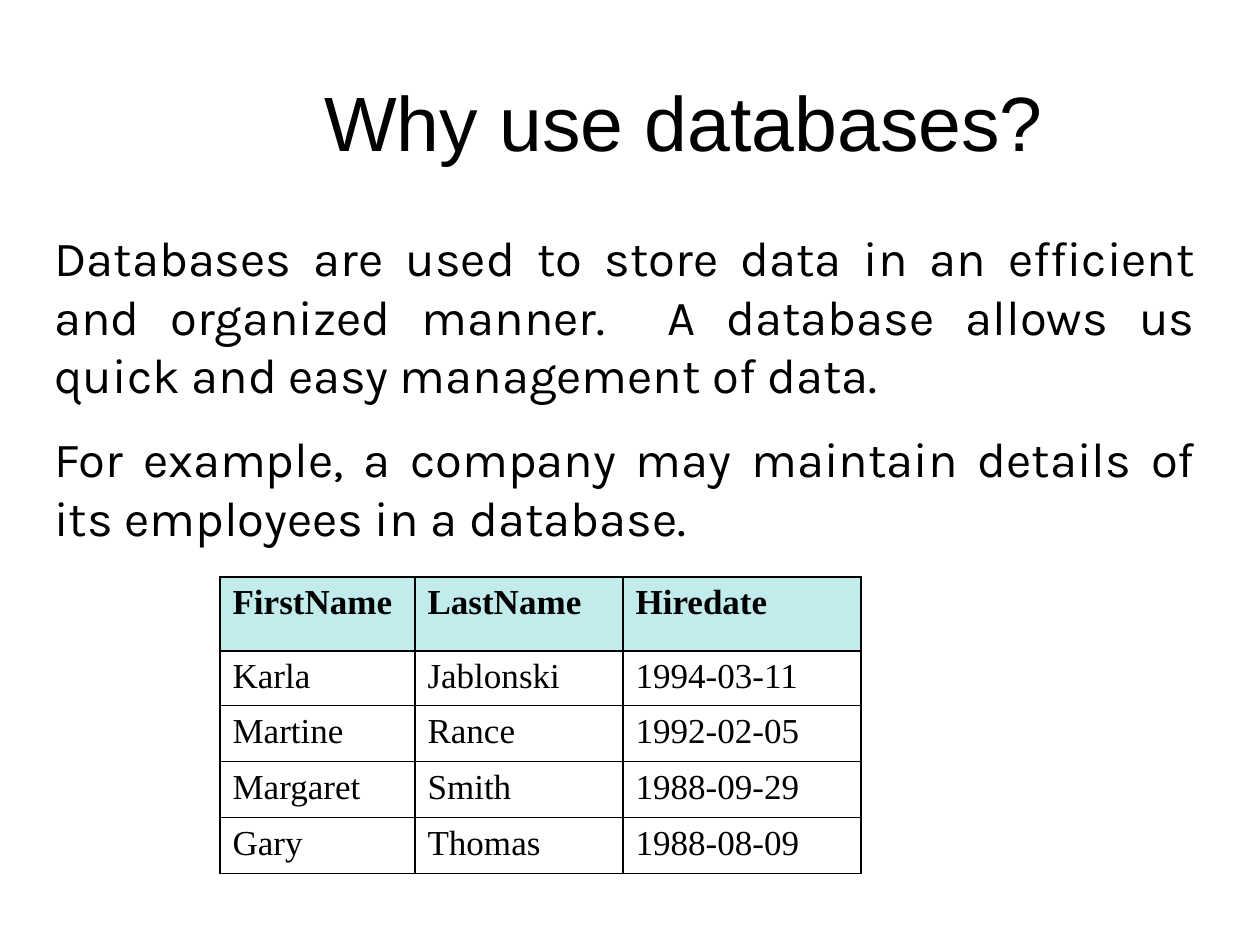
from lxml.etree import SubElement
from pptx import Presentation
from pptx.dml.color import RGBColor
from pptx.enum.text import MSO_ANCHOR, PP_ALIGN
from pptx.oxml.ns import qn
from pptx.util import Pt

PX = 914400 / 126
COLORS = {"ink": "000000", "header": "C2EBEC"}
FORMATS = {
    "title": {"name": "Arial", "size": Pt(44)},
    "body": {"name": "Karla", "size": Pt(28)},
    "header": {"name": "Times New Roman", "size": Pt(20), "bold": True},
    "record": {"name": "Times New Roman", "size": Pt(20), "bold": False},
}


def px(length):
    return round(length * PX)


def write(paragraph, text, style):
    run = paragraph.add_run()
    run.text = text
    for attribute, value in FORMATS[style].items():
        setattr(run.font, attribute, value)
    run.font.color.rgb = RGBColor.from_string(COLORS["ink"])


presentation = Presentation()
presentation.slide_width = px(1260)
presentation.slide_height = px(945)
slide = presentation.slides.add_slide(presentation.slide_layouts[6])

title = slide.shapes.add_textbox(px(147), px(42), px(1074), px(157)).text_frame
title.word_wrap = True
title.vertical_anchor = MSO_ANCHOR.MIDDLE
title.paragraphs[0].alignment = PP_ALIGN.CENTER
write(title.paragraphs[0], "Why use databases?", "title")

explanation = slide.shapes.add_textbox(px(42), px(221), px(1165), px(588)).text_frame
explanation.word_wrap = True
statements = [
    "Databases are used to store data in an efficient and organized manner.  "
    "A database allows us quick and easy management of data. ",
    "For example, a company may maintain details of its employees in a database. ",
]
explanation.add_paragraph().space_before = Pt(14)
for paragraph, statement in zip(explanation.paragraphs, statements):
    paragraph.alignment = PP_ALIGN.JUSTIFY
    write(paragraph, statement, "body")

employees = [
    ("FirstName", "LastName", "Hiredate"),
    ("Karla", "Jablonski", "1994-03-11"),
    ("Martine", "Rance", "1992-02-05"),
    ("Margaret", "Smith", "1988-09-29"),
    ("Gary", "Thomas", "1988-08-09"),
]
column_widths = [195, 208, 238]
row_heights = [74, 52, 56, 56, 56]
employee_table = slide.shapes.add_table(
    len(employees), len(column_widths), px(220), px(577),
    px(sum(column_widths)), px(sum(row_heights)),
).table
for column, width in zip(employee_table.columns, column_widths):
    column.width = px(width)
for row, height in zip(employee_table.rows, row_heights):
    row.height = px(height)

for row_index, employee in enumerate(employees):
    for column_index, value in enumerate(employee):
        cell = employee_table.cell(row_index, column_index)
        properties = cell._tc.get_or_add_tcPr()
        for side in ("a:lnL", "a:lnR", "a:lnT", "a:lnB"):
            border = SubElement(properties, qn(side), w=str(Pt(1)))
            border_fill = SubElement(border, qn("a:solidFill"))
            SubElement(border_fill, qn("a:srgbClr"), val=COLORS["ink"])
        if row_index == 0:
            cell.fill.solid()
            cell.fill.fore_color.rgb = RGBColor.from_string(COLORS["header"])
        else:
            cell.fill.background()
        paragraph = cell.text_frame.paragraphs[0]
        indent = paragraph._p.get_or_add_pPr()
        indent.set("marL", str(px(48)))
        indent.set("indent", str(px(-48)))
        write(paragraph, value, "record" if row_index else "header")

presentation.save("out.pptx")
